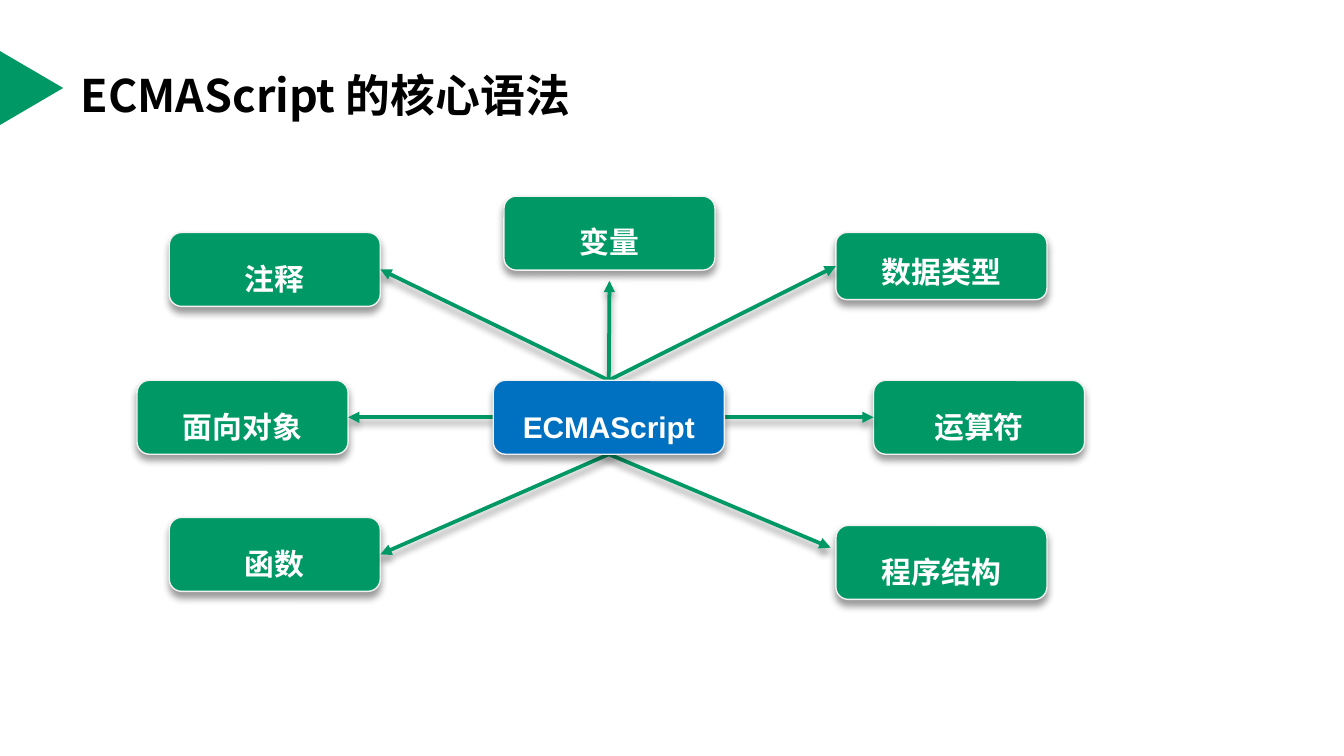
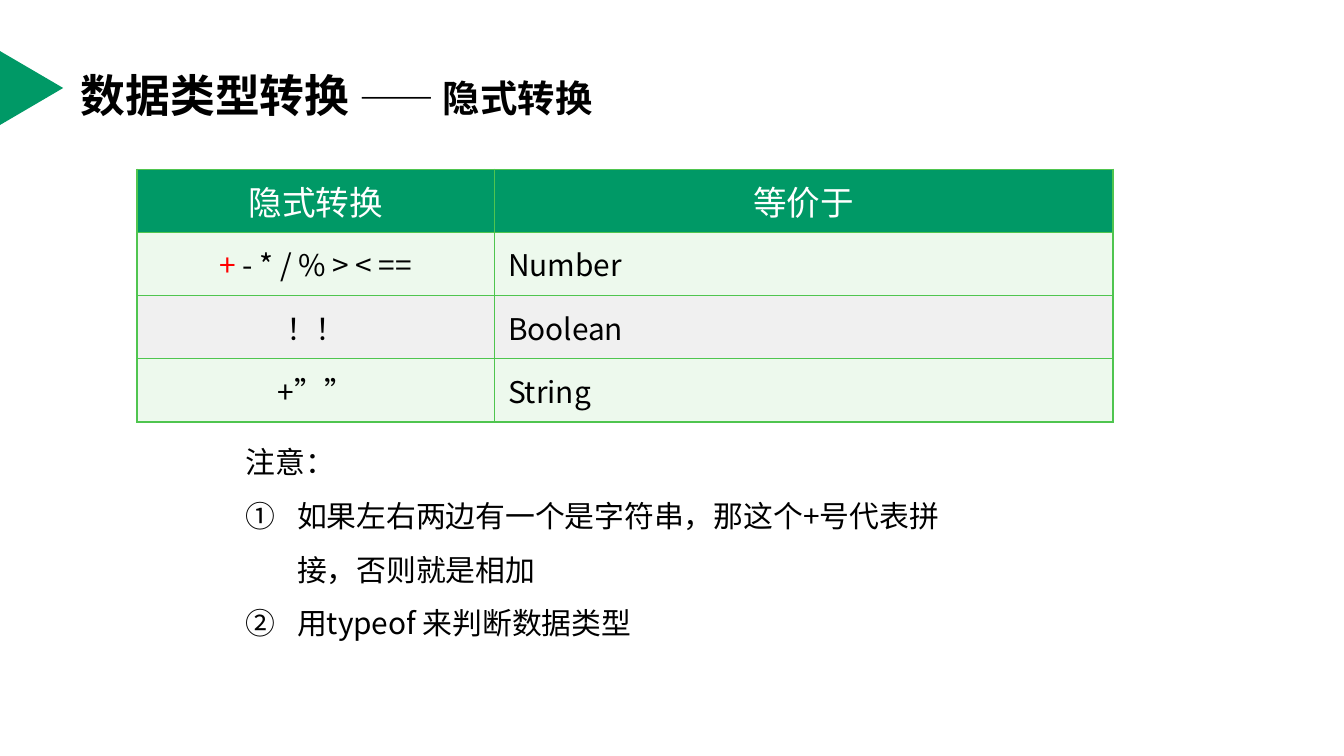
from dataclasses import dataclass
from lxml import etree
from pptx import Presentation
from pptx.dml.color import RGBColor
from pptx.enum.shapes import MSO_CONNECTOR, MSO_SHAPE
from pptx.enum.text import MSO_ANCHOR, MSO_AUTO_SIZE, PP_ALIGN
from pptx.oxml import parse_xml
from pptx.oxml.ns import qn
from pptx.util import Inches, Pt

LEFT, CENTER = PP_ALIGN.LEFT, PP_ALIGN.CENTER
MIDDLE, BOTTOM = MSO_ANCHOR.MIDDLE, MSO_ANCHOR.BOTTOM
FIXED = MSO_AUTO_SIZE.NONE
ROUND, WEDGE = MSO_SHAPE.ROUNDED_RECTANGLE, MSO_SHAPE.ISOSCELES_TRIANGLE
STRAIGHT = MSO_CONNECTOR.STRAIGHT
SPACE = 'xmlns:a="http://schemas.openxmlformats.org/drawingml/2006/main"'


@dataclass(frozen=True)
class Theme:
    green: str = "009966"
    blue: str = "0070C0"
    edge: str = "F2F2F2"
    grid: str = "4FC54F"
    mint: str = "EDF9ED"
    gray: str = "F0F0F0"
    white: str = "FFFFFF"
    black: str = "000000"
    red: str = "FF0000"
    sans: str = "Noto Sans CJK SC"
    latin: str = "Arial"
    title: int = 24
    sub: int = 20
    head: int = 18
    text: int = 16


T = Theme()

HEADS = [
    [("ECMAScript 的核心语法", T.title)],
    [("数据类型转换 ", T.title), ("—— 隐式转换", T.sub)],
]

HUB = ("ECMAScript", 3.67, 2.83, 1.72, 0.55)
WIDE = 1.57
NODES = [
    ("变量", 3.75, 1.46, 0.55, "top", "bottom", (0, 0.08)),
    ("数据类型", 6.22, 1.73, 0.5, "top", "left", (0, 0)),
    ("注释", 1.26, 1.73, 0.55, "top", "right", (0, 0)),
    ("面向对象", 1.02, 2.83, 0.55, "left", "right", (0, 0)),
    ("函数", 1.26, 3.85, 0.55, "bottom", "right", (0, 0)),
    ("运算符", 6.5, 2.83, 0.55, "right", "left", (0, 0)),
    ("程序结构", 6.22, 3.91, 0.55, "bottom", "left", (-0.04, -0.11)),
]

COLS = [2.66, 4.6]
ROW = 0.47
ROWS = [
    ("隐式转换", "等价于"),
    ("+ - * / % > < ==", "Number"),
    ("！！", "Boolean"),
    ("+””", "String"),
]
NOTES = [
    "注意：",
    "如果左右两边有一个是字符串，那这个+号代表拼接，否则就是相加",
    "用typeof 来判断数据类型",
]


def rgb(code):
    return RGBColor.from_string(code)


def style(run, size, color, bold=False, face=T.sans):
    font = run.font
    font.size, font.bold, font.name = Pt(size), bold, face
    font.color.rgb = rgb(color)
    east = etree.SubElement(font._element, qn("a:ea"))
    east.set("typeface", T.sans)


def place(shape, *box):
    shape.left, shape.top, shape.width, shape.height = map(Inches, box)


def shade(shape):
    shape.element.spPr.append(parse_xml(
        f'<a:effectLst {SPACE}><a:outerShdw blurRad="{Pt(4)}" dist="{Pt(3)}" '
        f'dir="5400000" rotWithShape="0"><a:srgbClr val="{T.black}">'
        '<a:alpha val="40000"/></a:srgbClr></a:outerShdw></a:effectLst>'))


def brand(slide, master):
    mark = slide.shapes.add_shape(WEDGE, *map(Inches, (-0.04, 0.42, 0.55, 0.47)))
    mark.rotation = 90
    mark.shadow.inherit = False
    mark.fill.solid()
    mark.fill.fore_color.rgb = rgb(T.green)
    mark.line.fill.background()
    mark.element.nvSpPr.cNvPr.set("id", "99")
    master.shapes.element.insert(2, mark.element)


def head(slide, parts):
    frame = slide.shapes.title.text_frame
    frame.auto_size = FIXED
    frame.vertical_anchor = MIDDLE
    para = frame.paragraphs[0]
    para.alignment = LEFT
    for words, size in parts:
        run = para.add_run()
        run.text = words
        style(run, size, T.black, True)


def node(slide, words, box, color):
    shape = slide.shapes.add_shape(ROUND, *map(Inches, box))
    shape.fill.solid()
    shape.fill.fore_color.rgb = rgb(color)
    shape.line.color.rgb = rgb(T.edge)
    shape.line.width = Pt(0.75)
    shade(shape)
    frame = shape.text_frame
    frame.text = words
    frame.word_wrap = True
    frame.auto_size = FIXED
    frame.vertical_anchor = BOTTOM
    para = frame.paragraphs[0]
    para.alignment = CENTER
    para.line_spacing = 1.5
    para.space_before = Pt(0.2 * T.text)
    style(para.runs[0], T.text, T.white, True, T.latin)


def point(box, side):
    x, y, w, h = box
    return {
        "top": (x + w / 2, y),
        "bottom": (x + w / 2, y + h),
        "left": (x, y + h / 2),
        "right": (x + w, y + h / 2),
    }[side]


def arrow(slide, start, end):
    line = slide.shapes.add_connector(STRAIGHT, *map(Inches, start + end))
    line.line.color.rgb = rgb(T.green)
    line.line.width = Pt(2)
    tip = etree.SubElement(line.element.spPr.find(qn("a:ln")), qn("a:tailEnd"))
    tip.set("type", "triangle")
    shade(line)


def chart(slide):
    core = HUB[1:]
    links = []
    for words, x, y, h, out, side, (dx, dy) in NODES:
        box = (x, y, WIDE, h)
        node(slide, words, box, T.green)
        ex, ey = point(box, side)
        links.append((point(core, out), (ex + dx, ey + dy)))
    for start, end in links:
        arrow(slide, start, end)
    node(slide, HUB[0], core, T.blue)


def border(cell):
    props = cell._tc.get_or_add_tcPr()
    for side in "LRTB":
        props.append(parse_xml(
            f'<a:ln{side} {SPACE} w="{Pt(1)}"><a:solidFill>'
            f'<a:srgbClr val="{T.grid}"/></a:solidFill></a:ln{side}>'))


def grid(slide):
    size = (1.02, 1.26, sum(COLS), ROW * len(ROWS))
    table = slide.shapes.add_table(
        len(ROWS), len(COLS), *map(Inches, size)).table
    for col, wide in zip(table.columns, COLS):
        col.width = Inches(wide)
    for r, row in enumerate(ROWS):
        table.rows[r].height = Inches(ROW)
        back = T.green if r == 0 else T.mint if r % 2 else T.gray
        color, pt = (T.black, T.text) if r else (T.white, T.head)
        for c, words in enumerate(row):
            cell = table.cell(r, c)
            border(cell)
            cell.fill.solid()
            cell.fill.fore_color.rgb = rgb(back)
            cell.vertical_anchor = MIDDLE
            para = cell.text_frame.paragraphs[0]
            para.alignment = LEFT if r and c else CENTER
            plus = words.startswith("+ ")
            para.text = words[:1] if plus else words
            style(para.runs[0], pt, T.red if plus else color)
            if plus:
                rest = para.add_run()
                rest.text = words[1:]
                style(rest, pt, color)


def notes(slide):
    body = slide.placeholders[1]
    place(body, 1.73, 3.12, 5.56, 1.7)
    frame = body.text_frame
    frame.text = "\n".join(NOTES)
    frame.word_wrap = True
    frame.auto_size = FIXED
    for i, para in enumerate(frame.paragraphs):
        para.line_spacing = 1.5
        para.space_before = Pt(0)
        style(para.runs[0], T.text, T.black)
        props = para._p.get_or_add_pPr()
        hang = Inches(0.38) if i else 0
        props.set("marL", str(hang))
        props.set("indent", str(-hang))
        mark = etree.SubElement(props, qn("a:buAutoNum" if i else "a:buNone"))
        if i:
            mark.set("type", "circleNumDbPlain")


deck = Presentation()
deck.slide_width, deck.slide_height = Inches(10), Inches(10 * 9 / 16)
master = deck.slide_master
place(master.placeholders[0], 0.5, 0.23, 9, 0.94)
first, second = [deck.slides.add_slide(deck.slide_layouts[i]) for i in (5, 1)]
brand(first, master)
for slide, parts in zip((first, second), HEADS):
    head(slide, parts)
chart(first)
grid(second)
notes(second)
deck.save("out.pptx")
